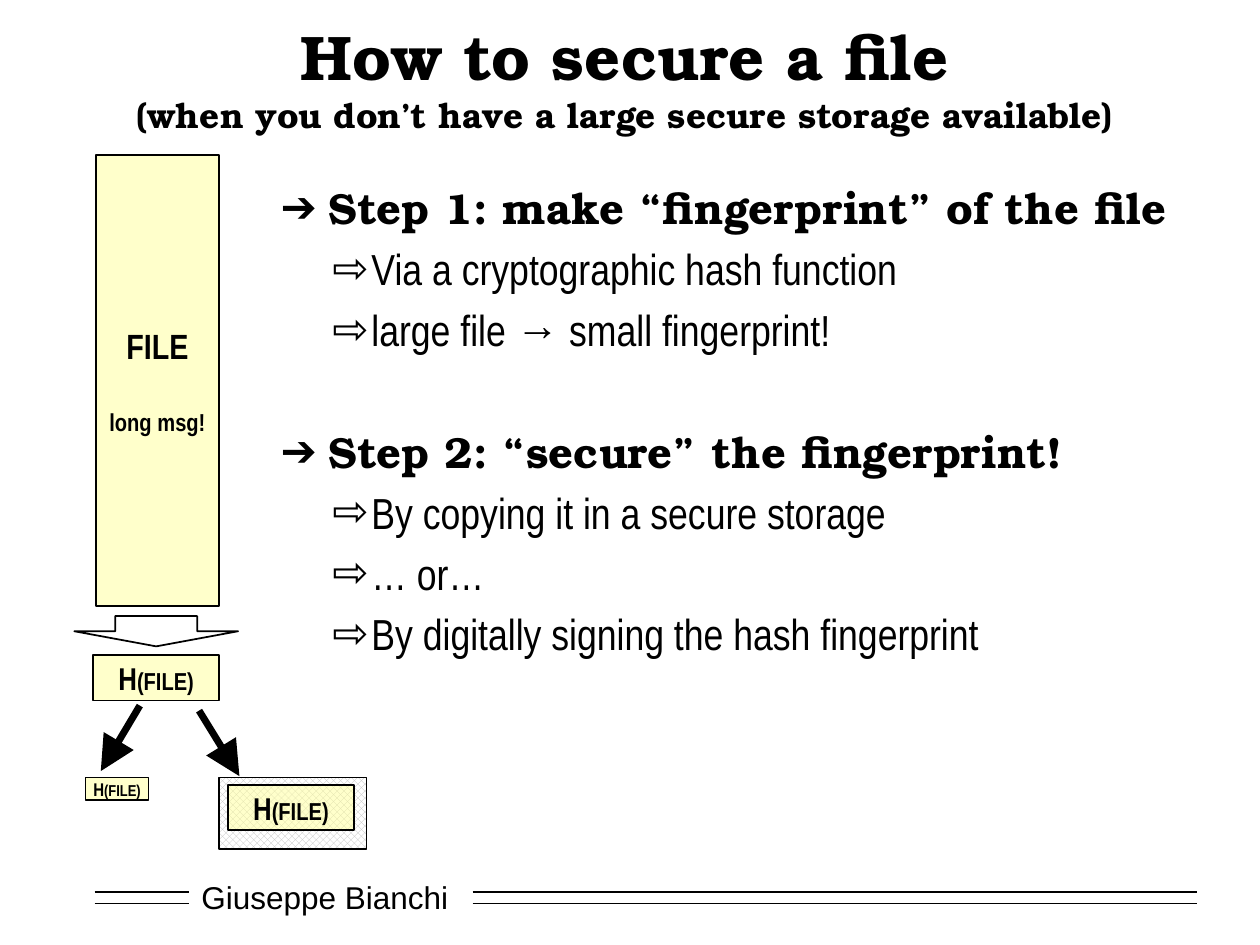
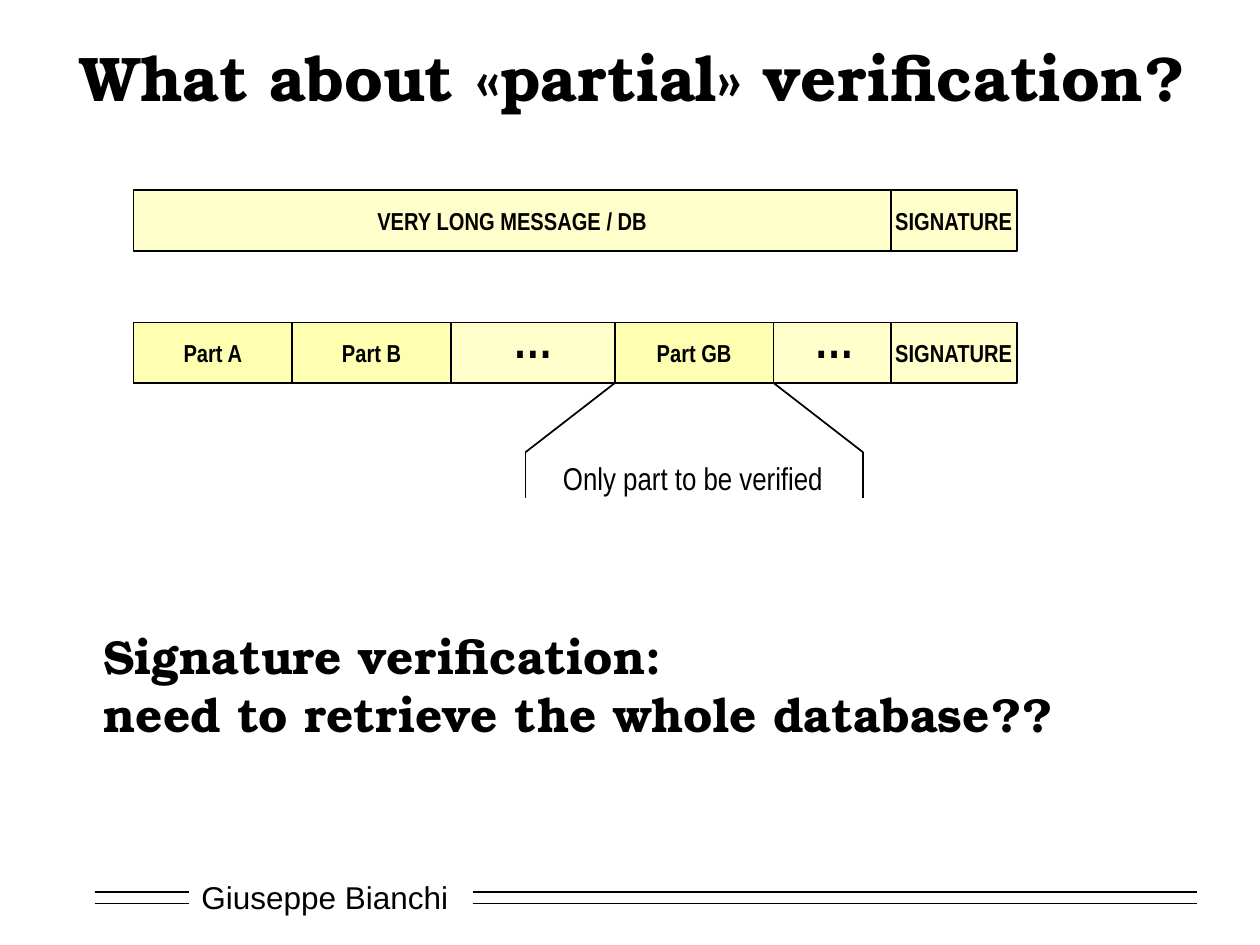
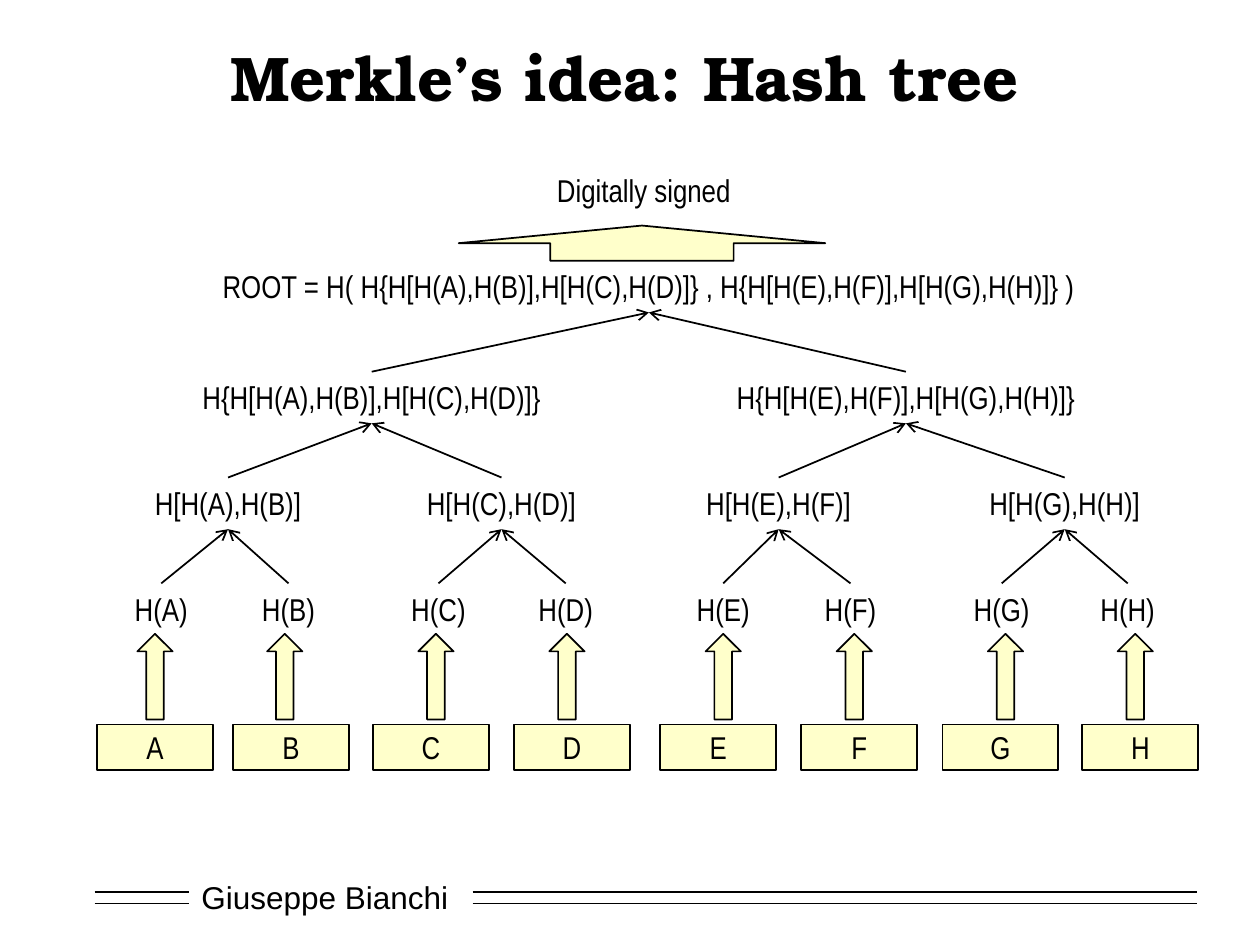
import dataclasses

import lxml.etree
import pptx
import pptx.dml.color
import pptx.enum.dml
import pptx.enum.shapes
import pptx.enum.text
import pptx.oxml
import pptx.oxml.ns
import pptx.util

PX = 9144  # 100 px to the inch
SHAPE = pptx.enum.shapes.MSO_SHAPE
ALIGN = pptx.enum.text.PP_ALIGN
ANCHOR = pptx.enum.text.MSO_ANCHOR
AUTO = pptx.enum.text.MSO_AUTO_SIZE
qn = pptx.oxml.ns.qn


@dataclasses.dataclass(frozen=True)
class Theme:
    ink: str = "000000"
    paper: str = "FFFFFF"
    yellow: str = "FFFF99"
    check: str = "BFBFBF"
    heading: str = "TeX Gyre Bonum"
    body: str = "Arial Narrow"
    plain: str = "Arial"
    title: float = 36
    question: float = 27.2
    step: float = 24.8
    dots: float = 28
    subtitle: float = 20
    label: float = 18
    caption: float = 14
    small: float = 10.5
    tiny: float = 9


T = Theme()


def px(*lengths):
    return [round(n * PX) for n in lengths]


def rgb(color):
    return pptx.dml.color.RGBColor.from_string(color)


def add_run(p, text, size, font=T.body, bold=False):
    r = p.add_run()
    r.text = text
    r.font.name = font
    r.font.size = pptx.util.Pt(size)
    r.font.bold = bold
    r.font.color.rgb = rgb(T.ink)


def outline(sp, width=1):
    sp.line.color.rgb = rgb(T.ink)
    sp.line.width = pptx.util.Pt(width)


def fill_yellow(sp):
    """Half-transparent yellow, so overlapping boxes look deeper."""
    sp.fill.solid()
    sp.fill.fore_color.rgb = rgb(T.yellow)
    color = sp.fill._xPr.find(".//" + qn("a:srgbClr"))
    lxml.etree.SubElement(color, qn("a:alpha"), val="50000")


def add_outlined(s, kind, x, y, w, h, yellow=True):
    sp = s.shapes.add_shape(kind, *px(x, y, w, h))
    sp.shadow.inherit = False
    outline(sp)
    if yellow:
        fill_yellow(sp)
    else:
        sp.fill.background()
    return sp


def add_box(s, x, y, w, h, *runs, bold=True):
    """Yellow box with one centred line made of (text, size) runs."""
    sp = add_outlined(s, SHAPE.RECTANGLE, x, y, w, h)
    tf = sp.text_frame
    tf.word_wrap = False
    tf.vertical_anchor = ANCHOR.MIDDLE
    p = tf.paragraphs[0]
    p.alignment = ALIGN.CENTER
    for text, size in runs:
        add_run(p, text, size, bold=bold)
    return sp


def add_text_frame(s, x, y, w, h):
    tf = s.shapes.add_textbox(*px(x, y, w, h)).text_frame
    tf.word_wrap = True
    return tf


def add_label(s, text, centre, y, w, h=40, size=T.label, bold=False):
    """One line of text centred on an x position."""
    p = add_text_frame(s, centre - w / 2, y, w, h).paragraphs[0]
    p.alignment = ALIGN.CENTER
    add_run(p, text, size, bold=bold)


def add_line(s, x1, y1, x2, y2, width=1, head=None, head_size="med"):
    line = s.shapes.add_connector(
        pptx.enum.shapes.MSO_CONNECTOR.STRAIGHT, *px(x1, y1, x2, y2))
    outline(line, width)
    if head:
        lxml.etree.SubElement(line.line._get_or_add_ln(), qn("a:tailEnd"),
                              type=head, w=head_size, len=head_size)
    lxml.etree.SubElement(line._element.spPr, qn("a:effectLst"))


def add_bullet(p, char, margin, hang):
    pPr = p._p.get_or_add_pPr()
    left, indent = px(margin, -hang)
    pPr.set("marL", str(left))
    pPr.set("indent", str(indent))
    color = lxml.etree.SubElement(pPr, qn("a:buClr"))
    lxml.etree.SubElement(color, qn("a:srgbClr"), val=T.ink)
    lxml.etree.SubElement(pPr, qn("a:buFont"), typeface=T.plain)
    lxml.etree.SubElement(pPr, qn("a:buChar"), char=char)


def add_footer(s):
    for x1, x2 in ((75, 150), (375, 950)):
        for y in (708, 717):
            add_line(s, x1, y, x2, y)
    tf = add_text_frame(s, 150, 692, 217, 40)
    tf.vertical_anchor = ANCHOR.MIDDLE
    add_run(tf.paragraphs[0], "Giuseppe Bianchi", T.label, T.plain)


def add_slide(prs, title, subtitle=None, x=75, w=842):
    s = prs.slides.add_slide(prs.slide_layouts[5])
    add_footer(s)
    sp = s.shapes.title
    sp.left, sp.top, sp.width, sp.height = px(x, 25, w, 71)
    tf = sp.text_frame
    tf.auto_size = AUTO.NONE
    tf.word_wrap = True
    tf.vertical_anchor = ANCHOR.MIDDLE
    p = tf.paragraphs[0]
    p.alignment = ALIGN.CENTER
    add_run(p, title, T.title, T.heading, True)
    if subtitle:
        p.add_line_break()
        add_run(p, subtitle, T.subtitle, T.heading, True)
    return s


def add_steps(s, steps):
    tf = add_text_frame(s, 213, 139, 776, 374)
    for i, (step, details) in enumerate(steps):
        p = tf.add_paragraph() if i else tf.paragraphs[0]
        add_bullet(p, "➔", 38, 38)
        if i:
            p.space_before = pptx.util.Pt(40)
        add_run(p, step, T.step, T.heading, True)
        for detail in details:
            p = tf.add_paragraph()
            add_bullet(p, "⇨", 72, 31)
            p.space_before = pptx.util.Pt(5)
            add_run(p, detail, T.step)


def build_secure_file(prs):
    s = add_slide(prs, "How to secure a file",
                  "(when you don’t have a large secure storage available)")
    storage = add_outlined(s, SHAPE.RECTANGLE, 174, 617, 117, 57, yellow=False)
    storage.fill.patterned()
    storage.fill.pattern = pptx.enum.dml.MSO_PATTERN.LARGE_CHECKER_BOARD
    storage.fill.fore_color.rgb = rgb(T.check)
    storage.fill.back_color.rgb = rgb(T.paper)

    file_box = add_box(s, 76, 123, 98, 358, ("FILE", T.subtitle))
    p = file_box.text_frame.add_paragraph()
    p.alignment = ALIGN.CENTER
    p.space_before = pptx.util.Pt(23)
    add_run(p, "long msg!", T.caption, bold=True)

    add_outlined(s, SHAPE.DOWN_ARROW, 59, 489, 130, 24, yellow=False)
    for x, y, w, h, big, small in ((74, 520, 100, 36, T.label, T.caption),
                                   (68, 617, 50, 18, T.small, T.tiny),
                                   (181, 623, 100, 36, T.label, T.caption)):
        add_box(s, x, y, w, h, ("H", big), ("(FILE)", small))
    add_line(s, 111, 560, 80, 612, 4, "triangle", "lg")
    add_line(s, 158, 564, 190, 616, 4, "triangle", "lg")

    add_steps(s, (
        ("Step 1: make “fingerprint” of the file",
         ("Via a cryptographic hash function", "large file → small fingerprint!")),
        ("Step 2: “secure” the fingerprint!",
         ("By copying it in a secure storage", "… or…",
          "By digitally signing the hash fingerprint")),
    ))


def build_partial_verification(prs):
    s = add_slide(prs, "What about «partial» verification?", x=28, w=949)
    for y, message in ((151, "VERY LONG MESSAGE / DB"), (256, "")):
        runs = [(message, T.caption)] if message else []
        add_box(s, 106, y, 601, 48, *runs)
        add_box(s, 707, y, 100, 48, ("SIGNATURE", T.caption))
    for x, part in ((106, "Part A"), (232, "Part B"), (488, "Part GB")):
        add_box(s, x, 256, 126, 48, (part, T.caption))
    for centre in (423, 662):
        add_label(s, "…", centre, 241, 80, 57, T.dots, True)

    for part_edge, note_edge in ((488, 417), (614, 685)):
        add_line(s, part_edge, 304, note_edge, 359)
        add_line(s, note_edge, 395, note_edge, 359)
    add_label(s, "Only part to be verified", 550, 359, 260)

    p = add_text_frame(s, 72, 493, 826, 83).paragraphs[0]
    add_run(p, "Signature verification:", T.question, T.heading, True)
    p.add_line_break()
    add_run(p, "need to retrieve the whole database??", T.question, T.heading, True)


def build_hash_tree(prs):
    s = add_slide(prs, "Merkle’s idea: Hash tree")
    letters = "ABCDEFGH"
    block_lefts = (77, 185, 296, 408, 524, 636, 748, 859)
    arrow_lefts = (109, 212, 332, 436, 560, 664, 784, 887)
    for letter, block_x, arrow_x in zip(letters, block_lefts, arrow_lefts):
        add_box(s, block_x, 575, 92, 36, (letter, T.label), bold=False)
        add_outlined(s, SHAPE.UP_ARROW, arrow_x, 503, 28, 68)

    # each level: centres, top, label width, pattern joining two children
    levels = (
        ((128, 229, 348, 449, 574, 675, 795, 895), 463, 90, None),
        ((181, 398, 618, 845), 379, 180, "H[%s,%s]"),
        ((295, 719), 295, 340, "H{%s,%s}"),
        ((515,), 207, 780, "ROOT = H( %s , %s )"),
    )
    hashes = [f"H({letter})" for letter in letters]
    children, child_top = (), 0
    for centres, top, width, pattern in levels:
        if pattern:
            hashes = [pattern % pair for pair in zip(hashes[::2], hashes[1::2])]
        for centre, text in zip(centres, hashes):
            add_label(s, text, centre, top, width)
        for i, child in enumerate(children):
            add_line(s, child, child_top, centres[i // 2], top + 41, head="arrow")
        children, child_top = centres, top

    add_outlined(s, SHAPE.UP_ARROW, 364, 179, 291, 28)
    add_label(s, "Digitally signed", 511, 131, 200)


def main():
    prs = pptx.Presentation()
    prs.slide_width, prs.slide_height = px(1000, 750)
    build_secure_file(prs)
    build_partial_verification(prs)
    build_hash_tree(prs)
    prs.save("out.pptx")


if __name__ == "__main__":
    main()
